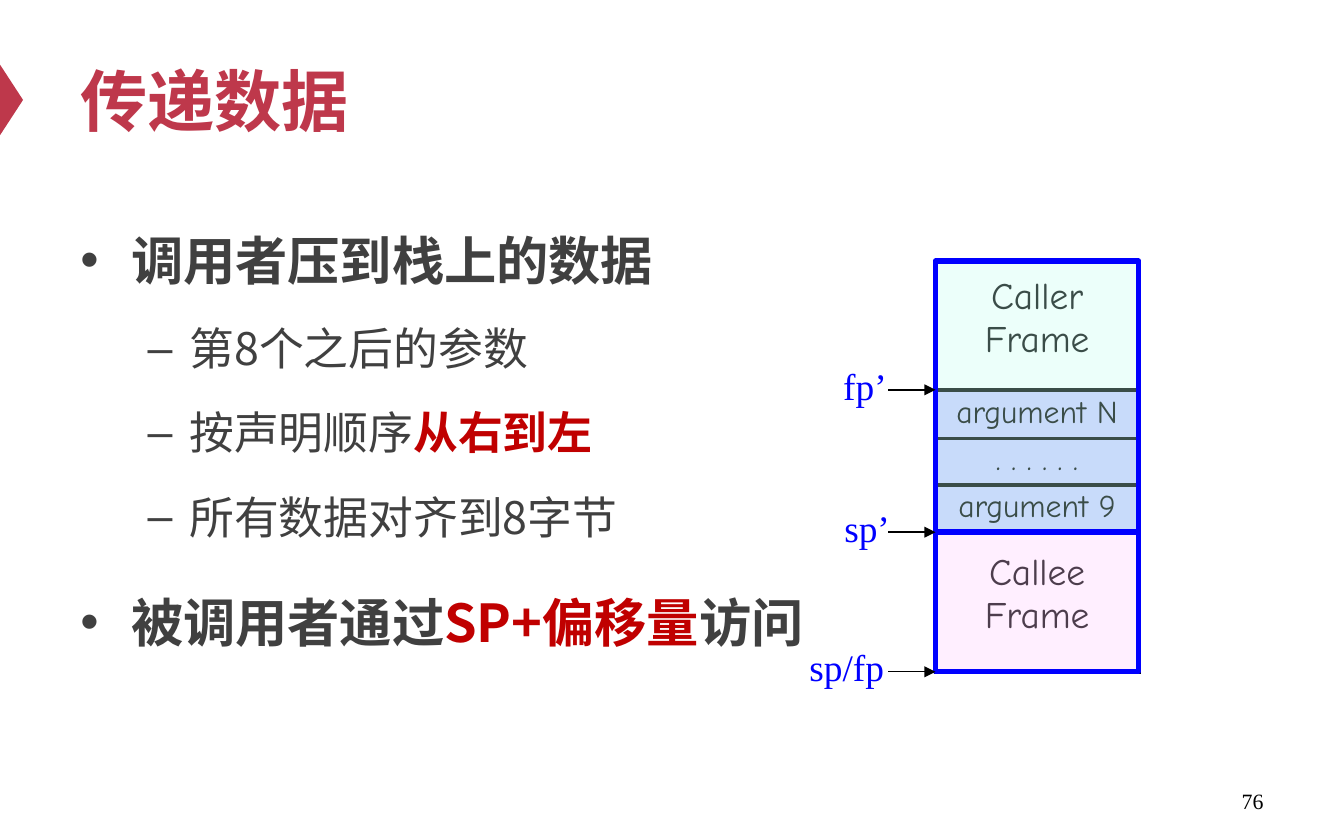
from dataclasses import dataclass

import pptx
import pptx.dml.color
import pptx.enum.shapes
import pptx.enum.text
import pptx.oxml
import pptx.oxml.ns
import pptx.util
from pptx.util import Cm, Pt

ALIGN = pptx.enum.text.PP_ALIGN
ANCHOR = pptx.enum.text.MSO_ANCHOR
SHAPE = pptx.enum.shapes.MSO_SHAPE
NS = pptx.oxml.ns.nsdecls("a")
SANS, SERIF, COMIC = "Noto Sans CJK SC", "Times New Roman", "Comic Neue"
RED, GREY, DARK_RED, BLUE, BLACK = "BE384B", "404040", "C00000", "0000FF", "000000"


@dataclass
class Bullet:
    level: int
    runs: list[tuple[str, str]]


@dataclass
class Block:
    """One part of the stack, drawn as a one-cell table."""
    text: str
    top: float
    height: float
    size: int
    margin_top: float = 0.1
    fill: str | None = None


@dataclass
class Pointer:
    text: str
    y: float
    text_right: float


BULLETS = [
    Bullet(0, [("调用者压到栈上的数据", GREY)]),
    Bullet(1, [("第8个之后的参数", GREY)]),
    Bullet(1, [("按声明顺序", GREY), ("从右到左", DARK_RED)]),
    Bullet(1, [("所有数据对齐到8字节", GREY)]),
    Bullet(0, [("被调用者通过", GREY), ("SP+偏移量", DARK_RED), ("访问", GREY)]),
]
STACK_LEFT, STACK_WIDTH = 17.68, 3.84
CALLER_TOP, ARGS_TOP, CALLEE_TOP, STACK_BOTTOM = 4.94, 7.37, 10.06, 12.7
ARG_STEP, ARG_HEIGHT = 0.89, 0.92
ARGUMENTS = ["argument N", ". . . . . .", "argument 9"]
BLOCKS = [
    *(Block(text, ARGS_TOP + i * ARG_STEP, ARG_HEIGHT, 17, fill="CCCCFF")
      for i, text in reversed(list(enumerate(ARGUMENTS)))),
    Block("Callee\vFrame", CALLEE_TOP, STACK_BOTTOM - CALLEE_TOP, 20, 0.37),
    Block("Caller\vFrame", CALLER_TOP, 4.22, 20, 0.28),
]
POINTERS = [
    Pointer("fp’", ARGS_TOP, 16.76),
    Pointer("sp’", CALLEE_TOP, 16.82),
    Pointer("sp/fp", STACK_BOTTOM, 16.71),
]


def rgb(color: str):
    return pptx.dml.color.RGBColor.from_string(color)


def style(r, font: str, size: float, color: str, bold: bool = False) -> None:
    r.font.name, r.font.size, r.font.bold = font, Pt(size), bold
    r.font.color.rgb = rgb(color)
    if font == SANS:
        r.font._element.append(pptx.oxml.parse_xml(f'<a:ea {NS} typeface="{font}"/>'))


def add_text(s, x: float, y: float, w: float, h: float, anchor=ANCHOR.MIDDLE):
    tf = s.shapes.add_textbox(Cm(x), Cm(y), Cm(w), Cm(h)).text_frame
    tf.word_wrap, tf.vertical_anchor = True, anchor
    return tf


def add_label(s, box: tuple, text: str, font: str, size: float, color: str,
              align=ALIGN.LEFT, bold: bool = False):
    tf = add_text(s, *box)
    tf.text = text
    p = tf.paragraphs[0]
    p.alignment = align
    style(p.runs[0], font, size, color, bold)
    return tf


def add_bullets(s) -> None:
    tf = add_text(s, 1.27, 3.71, 22.86, 10.46, ANCHOR.TOP)
    for i, bullet in enumerate(BULLETS):
        p = tf.paragraphs[0] if i == 0 else tf.add_paragraph()
        top = bullet.level == 0
        pPr = p._p.get_or_add_pPr()
        pPr.set("marL", str(Cm(0.96 if top else 2.06)))
        pPr.set("indent", str(-Cm(0.96 if top else 0.79)))
        pPr.append(pptx.oxml.parse_xml(f'<a:buFont {NS} typeface="Arial"/>'))
        pPr.append(pptx.oxml.parse_xml(f'<a:buChar {NS} char="{"•" if top else "–"}"/>'))
        p.level, p.line_spacing = bullet.level, 1.4
        if i:
            p.space_before = Pt(12 if top else 4.8)
        for text, color in bullet.runs:
            r = p.add_run()
            r.text = text
            style(r, SANS, 28 if top else 24, color, top or color == DARK_RED)


def set_borders(cell, color: str, width: float) -> None:
    tcPr = cell._tc.get_or_add_tcPr()
    for i, side in enumerate(("lnL", "lnR", "lnT", "lnB")):
        tcPr.insert(i, pptx.oxml.parse_xml(
            f'<a:{side} {NS} w="{Pt(width)}"><a:solidFill><a:srgbClr val="{color}"/>'
            f'</a:solidFill></a:{side}>'))


def add_block(s, block: Block) -> None:
    table = s.shapes.add_table(1, 1, Cm(STACK_LEFT), Cm(block.top),
                               Cm(STACK_WIDTH), Cm(block.height)).table
    table.first_row = table.horz_banding = False
    cell = table.cell(0, 0)
    cell.margin_left = cell.margin_right = Cm(0.2)
    cell.margin_top, cell.margin_bottom = Cm(block.margin_top), Cm(0.1)
    if block.fill:
        cell.fill.solid()
        cell.fill.fore_color.rgb = rgb(block.fill)
    else:
        cell.fill.background()
    set_borders(cell, BLACK, 2.25)
    cell.text_frame.text = block.text
    p = cell.text_frame.paragraphs[0]
    p.alignment = ALIGN.CENTER
    for r in p.runs:
        style(r, COMIC, block.size, BLACK)


def add_frame(s, top: float, bottom: float, fill: str) -> None:
    """Tint one stack frame and outline it."""
    sp = s.shapes.add_shape(SHAPE.RECTANGLE, Cm(STACK_LEFT), Cm(top),
                            Cm(STACK_WIDTH), Cm(bottom - top))
    sp.shadow.inherit = False
    sp.fill.solid()
    sp.fill.fore_color.rgb = rgb(fill)
    color = sp.fill._xPr.find(".//" + pptx.oxml.ns.qn("a:srgbClr"))
    color.append(pptx.oxml.parse_xml(f'<a:alpha {NS} val="30000"/>'))
    sp.line.color.rgb, sp.line.width = rgb(BLUE), Pt(3)


def add_pointer(s, pointer: Pointer) -> None:
    """Draw a register name and its arrow to the stack edge."""
    box = (pointer.text_right - 2.6, pointer.y - 0.65, 2.6, 1.12)
    tf = add_label(s, box, pointer.text, SERIF, 20, BLUE, ALIGN.RIGHT)
    tf.margin_right = 0
    line = s.shapes.add_connector(pptx.enum.shapes.MSO_CONNECTOR.STRAIGHT,
                                  Cm(STACK_LEFT - 0.89), Cm(pointer.y),
                                  Cm(STACK_LEFT), Cm(pointer.y))
    line.line.color.rgb, line.line.width = rgb(BLACK), Pt(0.75)
    line.line._get_or_add_ln().append(pptx.oxml.parse_xml(f'<a:tailEnd {NS} type="triangle"/>'))
    line._element.spPr.append(pptx.oxml.parse_xml(f"<a:effectLst {NS}/>"))


def main() -> None:
    prs = pptx.Presentation()
    prs.slide_width, prs.slide_height = Cm(25.4), Cm(15.88)
    s = prs.slides.add_slide(prs.slide_layouts[6])

    marker = s.shapes.add_shape(SHAPE.ISOSCELES_TRIANGLE, Cm(-0.46), Cm(1.67), Cm(1.35), Cm(0.44))
    marker.rotation = 90
    marker.shadow.inherit = False
    marker.fill.solid()
    marker.fill.fore_color.rgb = rgb(RED)
    marker.line.fill.background()

    add_label(s, (1.27, 0.64, 22.86, 2.49), "传递数据", SANS, 36, RED, bold=True)
    add_bullets(s)
    add_label(s, (18.21, 14.71, 5.92, 0.84), "76", SERIF, 11.7, BLACK, ALIGN.RIGHT)

    for block in BLOCKS:
        add_block(s, block)
    add_frame(s, CALLER_TOP, CALLEE_TOP, "C2FFF0")
    add_frame(s, CALLEE_TOP, STACK_BOTTOM, "FFCCFF")
    for pointer in POINTERS:
        add_pointer(s, pointer)

    prs.save("out.pptx")


if __name__ == "__main__":
    main()
